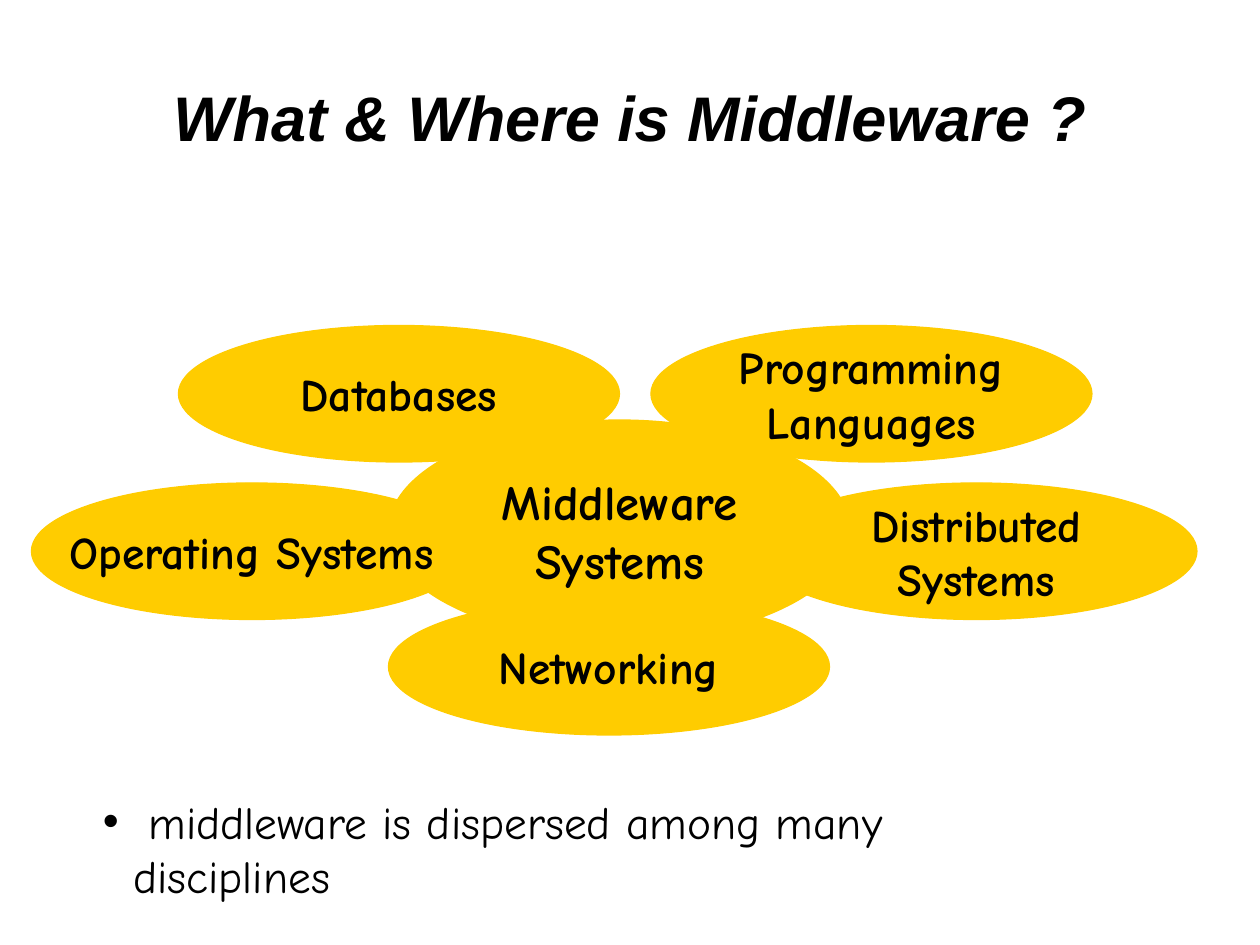
from dataclasses import dataclass

from lxml import etree
from pptx import Presentation
from pptx import util as u
from pptx.dml.color import RGBColor
from pptx.enum import shapes, text
from pptx.oxml.ns import qn

COLS, ROWS = 120, 90  # twelve grid cells to the inch


@dataclass(frozen=True)
class Theme:
    ink: RGBColor = RGBColor(0x00, 0x00, 0x00)
    paper: RGBColor = RGBColor(0xFF, 0xFF, 0xFF)
    accent: RGBColor = RGBColor(0xFF, 0xCC, 0x00)
    title_font: str = "Arial"
    body_font: str = "Comic Neue"
    title_size: int = 36
    core_size: int = 28
    body_size: int = 26
    line_width: float = 0.75


@dataclass(frozen=True)
class Bubble:
    lines: tuple[str, ...]
    col: int
    row: int
    cols: int = 42
    rows: int = 13
    size: int = Theme.body_size


THEME = Theme()
BUBBLES = (
    Bubble(("Distributed", "Systems"), 72, 46),
    Bubble(("Middleware", "Systems"), 37, 40, 44, 21, THEME.core_size),
    Bubble(("Programming", "Languages"), 62, 31),
    Bubble(("Databases",), 17, 31),
    Bubble(("Operating Systems",), 3, 46),
    Bubble(("Networking",), 37, 57),
)


def cell(prs, col: float, row: float, cols: float, rows: float) -> tuple[int, ...]:
    """Turn a grid rectangle into left, top, width and height."""
    w, h = prs.slide_width / COLS, prs.slide_height / ROWS
    return int(col * w), int(row * h), int(cols * w), int(rows * h)


def move(sp, box: tuple[int, ...]) -> None:
    sp.left, sp.top, sp.width, sp.height = box


def write(tf, *lines: str, size: int, font: str = THEME.body_font,
          bold: bool = False, italic: bool = False,
          align=text.PP_ALIGN.CENTER, anchor=text.MSO_ANCHOR.MIDDLE,
          wrap: bool = True) -> None:
    tf.word_wrap = wrap
    tf.auto_size = text.MSO_AUTO_SIZE.NONE
    tf.vertical_anchor = anchor
    for i, line in enumerate(lines):
        p = tf.add_paragraph() if i else tf.paragraphs[0]
        p.alignment = align
        p.space_before = u.Pt(0)
        r = p.add_run()
        r.text = line
        r.font.name, r.font.size = font, u.Pt(size)
        r.font.bold, r.font.italic = bold, italic
        r.font.color.rgb = THEME.ink


def add_bullet(p, indent: float) -> None:
    pPr = p._p.get_or_add_pPr()
    pPr.set("marL", str(u.Inches(indent)))
    pPr.set("indent", str(-u.Inches(indent)))
    etree.SubElement(pPr, qn("a:buChar")).set("char", "•")


def draw_bubble(prs, s, bubble: Bubble) -> None:
    box = cell(prs, bubble.col, bubble.row, bubble.cols, bubble.rows)
    sp = s.shapes.add_shape(shapes.MSO_SHAPE.OVAL, *box)
    sp.shadow.inherit = False
    sp.fill.solid()
    sp.fill.fore_color.rgb = THEME.accent
    sp.line.color.rgb = THEME.accent
    sp.line.width = u.Pt(THEME.line_width)
    write(sp.text_frame, *bubble.lines, size=bubble.size, bold=True, wrap=False)


def main() -> None:
    prs = Presentation()
    prs.slide_width, prs.slide_height = u.Inches(10), u.Inches(7.5)
    s = prs.slides.add_slide(prs.slide_layouts[1])
    s.background.fill.solid()
    s.background.fill.fore_color.rgb = THEME.paper

    title, body = s.placeholders
    move(title, cell(prs, 6, 3.6, 108, 15))
    write(title.text_frame, "What & Where is Middleware ?", size=THEME.title_size,
          font=THEME.title_font, bold=True, italic=True)

    for bubble in BUBBLES:
        draw_bubble(prs, s, bubble)

    move(body, cell(prs, 8.6, 75, 95.6, 11))
    add_bullet(body.text_frame.paragraphs[0], indent=0.24)
    write(body.text_frame, " middleware is dispersed among many disciplines",
          size=THEME.body_size, align=text.PP_ALIGN.LEFT, anchor=text.MSO_ANCHOR.TOP)

    prs.save("out.pptx")


if __name__ == "__main__":
    main()
